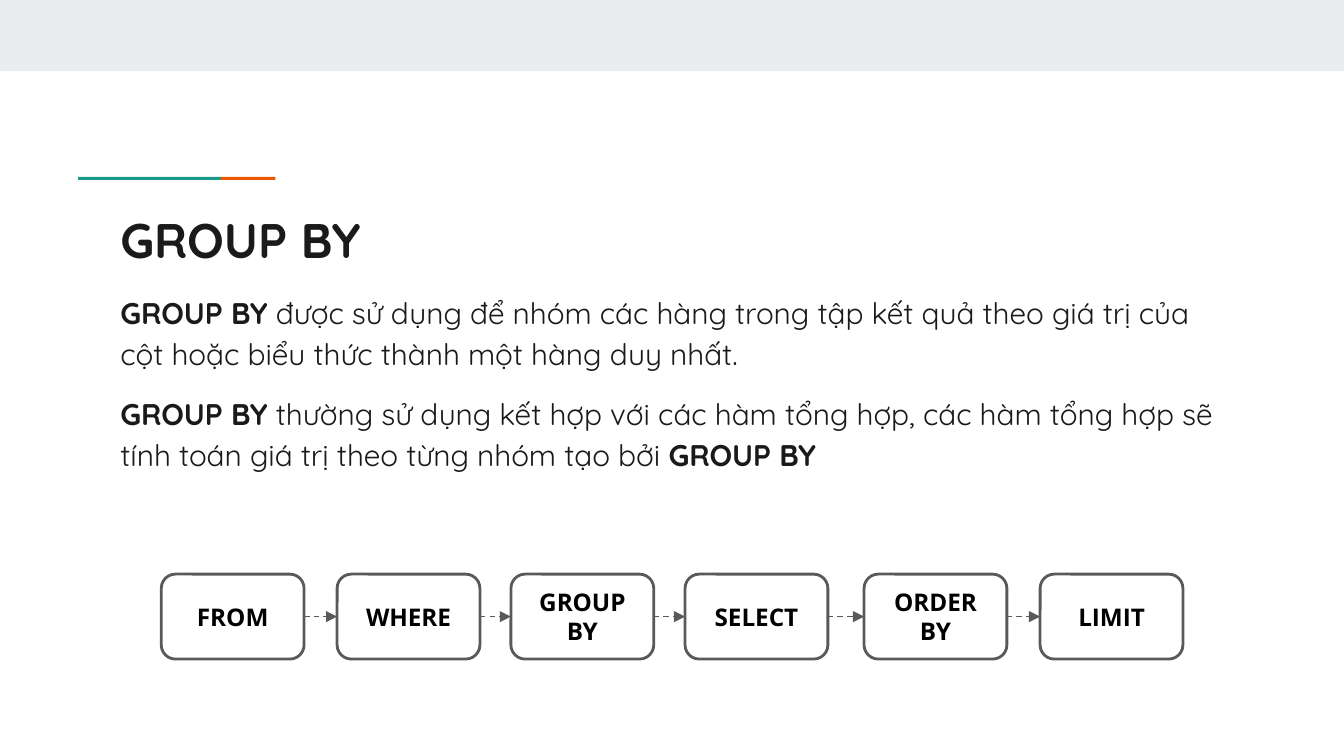
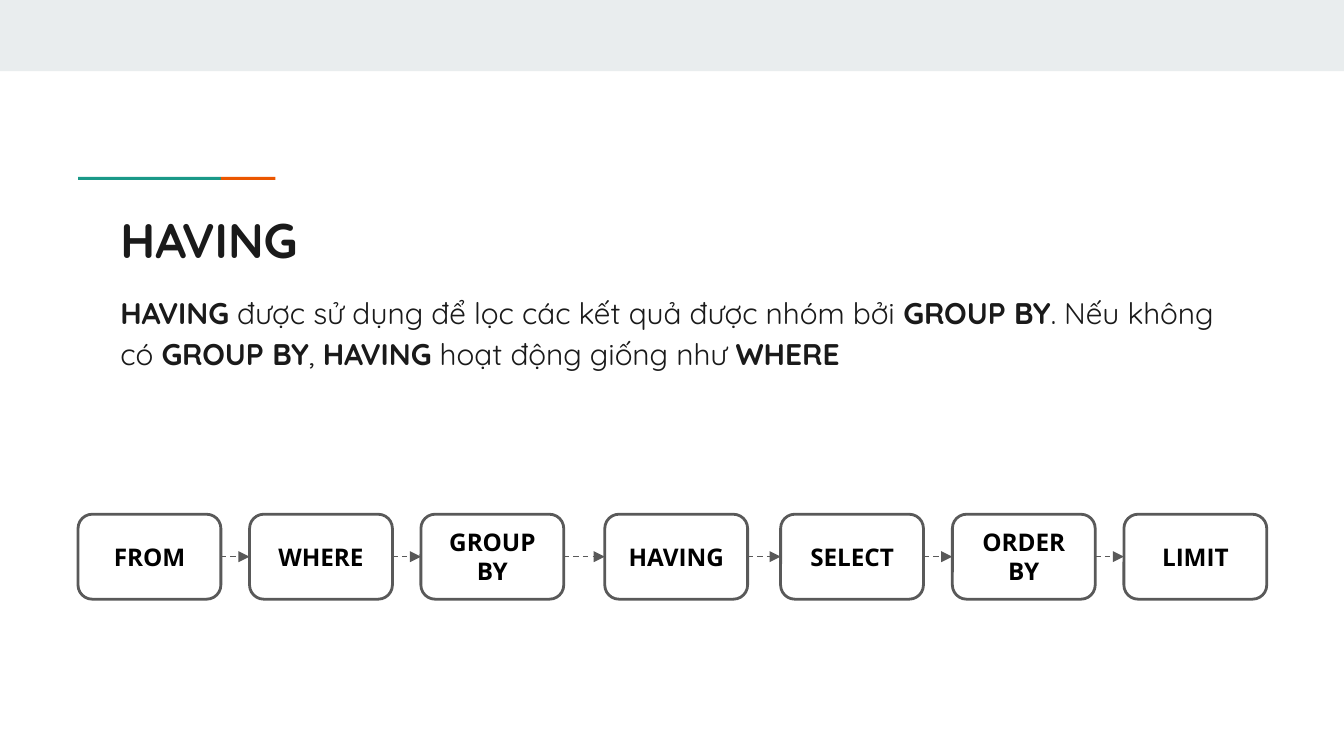
from itertools import pairwise

from lxml import etree
from pptx import Presentation
from pptx.dml.color import RGBColor
from pptx.enum import dml, shapes, text
from pptx.oxml import ns
from pptx.util import Pt

INK, BLACK, GREY = "1A1A1A", "000000", "595959"
BAND, TEAL, ORANGE = "E9EDEE", "1A9988", "EB5600"
HEADING_FONT, LABEL_FONT = "Quicksand", "Open Sans"
TITLE_AND_BODY = 1
LEFT_SIDE, RIGHT_SIDE = 1, 3


def color(value):
    return RGBColor.from_string(value)


class Deck:
    """Holds the presentation, its style and the page being filled."""

    def __init__(self):
        self.deck = Presentation()
        self.deck.slide_width, self.deck.slide_height = Pt(720), Pt(405)
        self.page = None

    def add_page(self, title, paragraphs):
        layout = self.deck.slide_layouts[TITLE_AND_BODY]
        self.page = self.deck.slides.add_slide(layout)
        self.bar(0, 0, 720, 38.2, BAND)
        self.bar(41.8, 94.8, 76.5, 1.6, TEAL)
        self.bar(118.3, 94.8, 29.3, 1.6, ORANGE)
        self.title(title)
        self.body(paragraphs)

    def bar(self, left, top, width, height, fill):
        bar = self.page.shapes.add_shape(
            shapes.MSO_SHAPE.RECTANGLE, Pt(left), Pt(top), Pt(width), Pt(height))
        bar.shadow.inherit = False
        bar.fill.solid()
        bar.fill.fore_color.rgb = color(fill)
        bar.line.fill.background()

    def frame(self, shape, anchor):
        """Give a shape's text frame the common insets, and return it."""
        frame = shape.text_frame
        frame.word_wrap = True
        frame.auto_size = text.MSO_AUTO_SIZE.NONE
        frame.vertical_anchor = anchor
        frame.margin_left = frame.margin_right = Pt(7.2)
        frame.margin_top = frame.margin_bottom = Pt(7.2)
        return frame

    def place(self, holder, top, height):
        """Move a placeholder into the text column and return its frame."""
        holder.left, holder.top = Pt(57.3), Pt(top)
        holder.width, holder.height = Pt(605.5), Pt(height)
        return self.frame(holder, text.MSO_ANCHOR.TOP)

    def span(self, para, words, size, font, ink, bold=True):
        span = para.add_run()
        span.text = words
        span.font.size = Pt(size)
        span.font.name = font
        span.font.bold = bold
        span.font.color.rgb = color(ink)

    def title(self, words):
        para = self.place(self.page.shapes.title, 105.1, 42.5).paragraphs[0]
        para.alignment = text.PP_ALIGN.LEFT
        self.span(para, words, 26, HEADING_FONT, INK)

    def body(self, paragraphs):
        """Write unbulleted paragraphs; words between asterisks are bold."""
        frame = self.place(self.page.placeholders[1], 147.6, 219.6)
        for index, words in enumerate(paragraphs):
            para = frame.add_paragraph() if index else frame.paragraphs[0]
            para.alignment = text.PP_ALIGN.LEFT
            para.line_spacing = 1.15
            para.space_before = Pt(10)
            para.space_after = Pt(10 if index == len(paragraphs) - 1 else 0)
            properties = para._p.get_or_add_pPr()
            properties.set("marL", "0")
            properties.set("indent", "0")
            etree.SubElement(properties, ns.qn("a:buNone"))
            for position, part in enumerate(words.split("*")):
                if part:
                    self.span(para, part, 16, HEADING_FONT, INK, position % 2 == 1)

    def step(self, words, left, top):
        box = self.page.shapes.add_shape(
            shapes.MSO_SHAPE.ROUNDED_RECTANGLE, Pt(left), Pt(top), Pt(76.5), Pt(45.5))
        box.shadow.inherit = False
        box.fill.background()
        box.line.color.rgb = color(GREY)
        box.line.width = Pt(1.5)
        para = self.frame(box, text.MSO_ANCHOR.MIDDLE).paragraphs[0]
        para.alignment = text.PP_ALIGN.CENTER
        self.span(para, words, 13, LABEL_FONT, BLACK)
        return box

    def arrow(self, start, end):
        arrow = self.page.shapes.add_connector(shapes.MSO_CONNECTOR.STRAIGHT, 0, 0, 0, 0)
        arrow.begin_connect(start, RIGHT_SIDE)
        arrow.end_connect(end, LEFT_SIDE)
        arrow.line.color.rgb = color(GREY)
        arrow.line.width = Pt(0.75)
        arrow.line.dash_style = dml.MSO_LINE.DASH
        etree.SubElement(arrow.line._get_or_add_ln(), ns.qn("a:tailEnd"), type="triangle")
        etree.SubElement(arrow._element.spPr, ns.qn("a:effectLst"))

    def flow(self, top, steps):
        """Draw the clauses in order, each joined to the next."""
        boxes = [self.step(words, left, top) for words, left in steps.items()]
        for start, end in pairwise(boxes):
            self.arrow(start, end)


def main():
    deck = Deck()
    deck.add_page("GROUP BY", [
        "*GROUP BY* được sử dụng để nhóm các hàng trong tập kết quả theo giá trị "
        "của cột hoặc biểu thức thành một hàng duy nhất.",
        "*GROUP BY* thường sử dụng kết hợp với các hàm tổng hợp, các hàm tổng hợp "
        "sẽ tính toán giá trị theo từng nhóm tạo bởi *GROUP BY*",
    ])
    deck.flow(307.6, {"FROM": 86.4, "WHERE": 180.6, "GROUP BY": 273.7,
                      "SELECT": 367, "ORDER BY": 462.9, "LIMIT": 557.2})

    deck.add_page("HAVING", [
        "*HAVING* được sử dụng để lọc các kết quả được nhóm bởi *GROUP BY*. Nếu "
        "không có *GROUP BY*, *HAVING* hoạt động giống như *WHERE*",
    ])
    deck.flow(275.5, {"FROM": 41.8, "WHERE": 133.7, "GROUP BY": 225.5, "HAVING": 324,
                      "SELECT": 418.2, "ORDER BY": 510.2, "LIMIT": 602.1})
    deck.deck.save("out.pptx")


if __name__ == "__main__":
    main()
